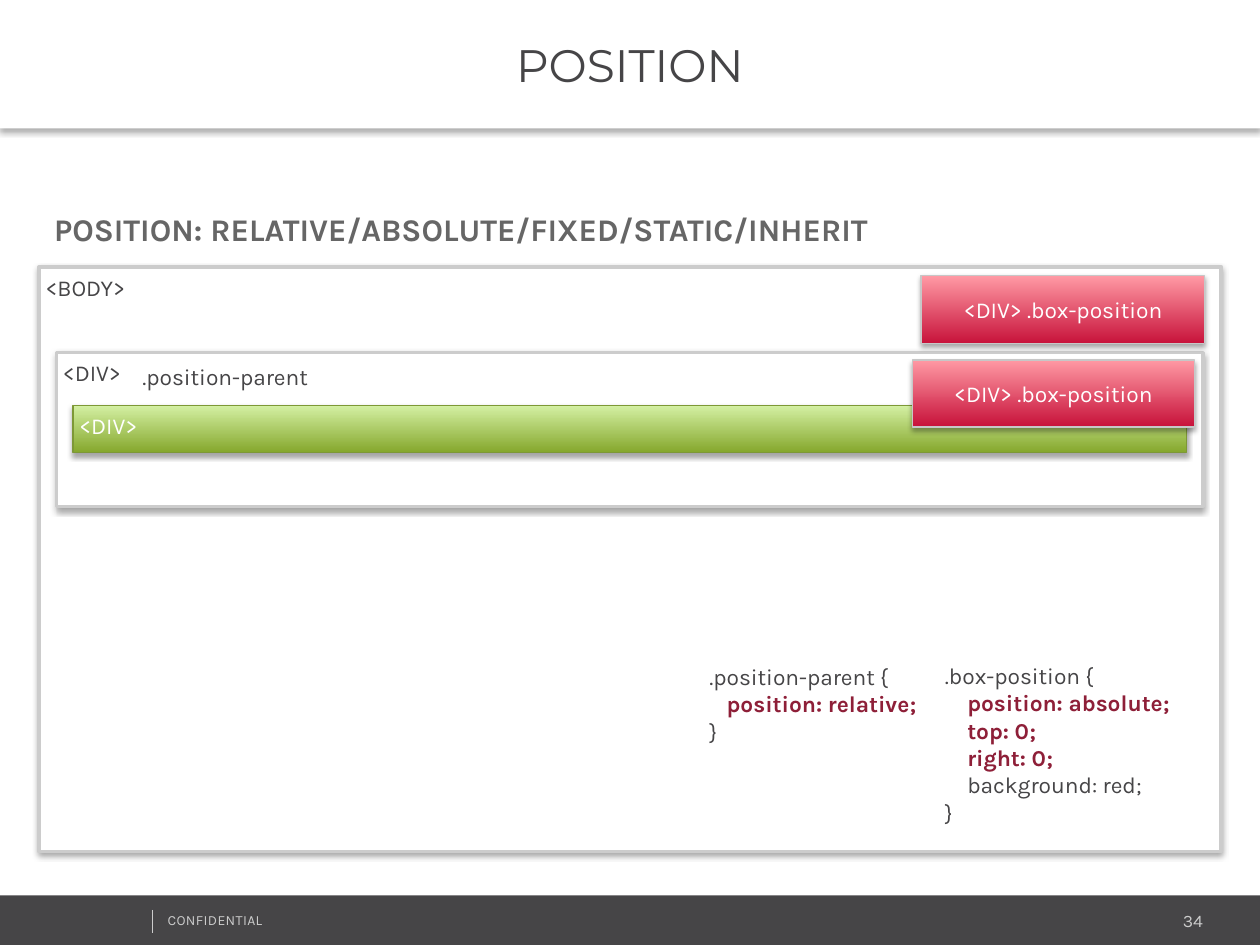
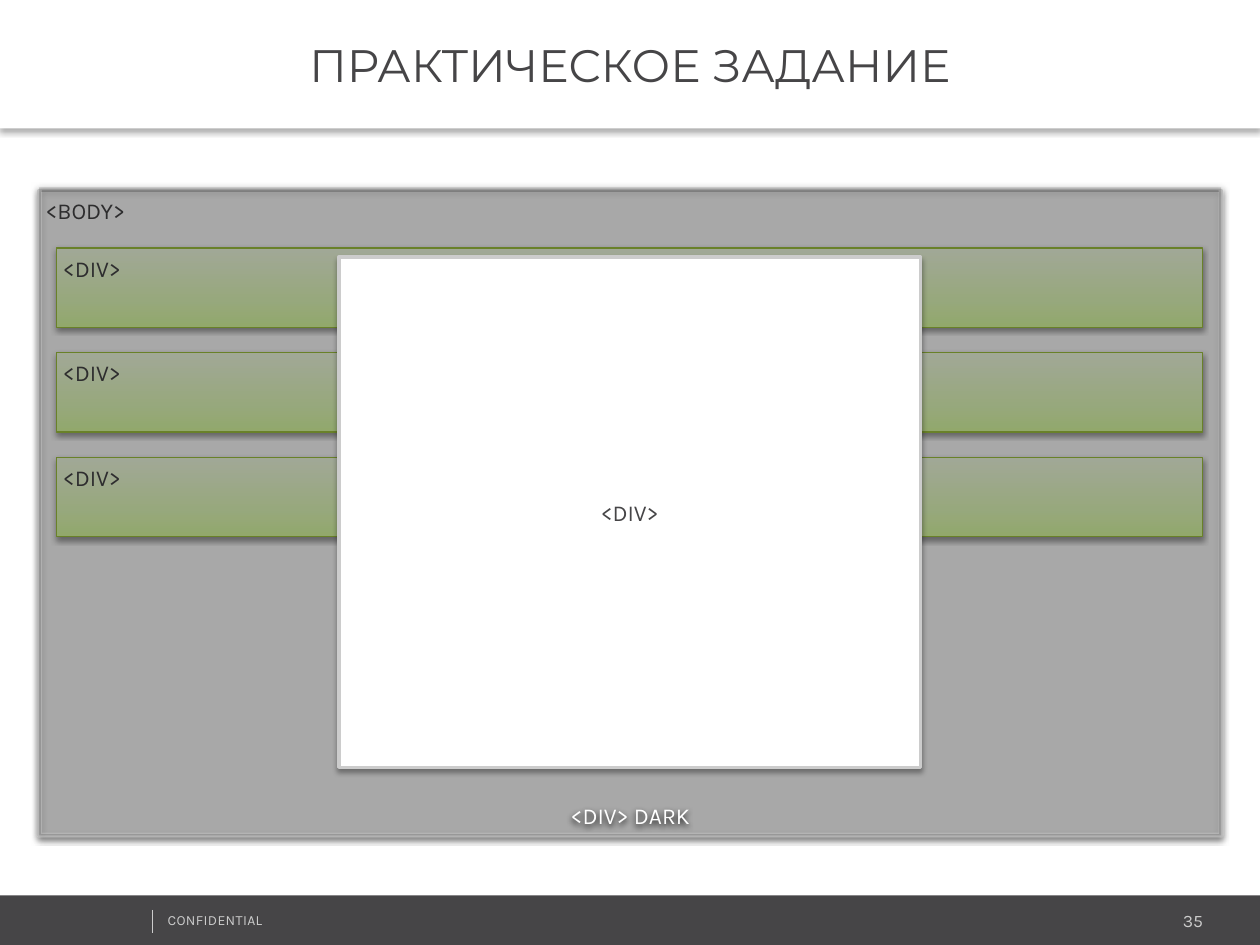
from dataclasses import dataclass
from typing import NamedTuple

from lxml.etree import SubElement
from pptx import Presentation
from pptx.dml.color import RGBColor
from pptx.enum.shapes import MSO_CONNECTOR, MSO_SHAPE
from pptx.enum.text import MSO_ANCHOR, MSO_AUTO_SIZE, PP_ALIGN
from pptx.oxml.ns import qn
from pptx.util import Cm, Pt

WHITE = RGBColor(0xFF, 0xFF, 0xFF)
BLACK = RGBColor(0, 0, 0)
DARK = RGBColor(0x46, 0x45, 0x47)
GRAY = RGBColor(0x66, 0x66, 0x66)
SILVER = RGBColor(0xCC, 0xCC, 0xCC)
BOX_EDGE = RGBColor(0xC7, 0xC7, 0xC7)
CRIMSON = RGBColor(0x8E, 0x1F, 0x38)
RED = RGBColor(0xC7, 0x12, 0x3A)
PINK = RGBColor(0xFF, 0x99, 0xA4)
GREEN = RGBColor(0x85, 0xA7, 0x2C)
LIGHT_GREEN = RGBColor(0xD3, 0xEF, 0xA2)
GREEN_EDGE = RGBColor(0x7D, 0x98, 0x36)
LIME = RGBColor(0xDE, 0xFF, 0xA4)
MID_LIME = RGBColor(0xE7, 0xFF, 0xBF)
PALE_LIME = RGBColor(0xF6, 0xFF, 0xE6)
LIME_EDGE = RGBColor(0xA1, 0xC5, 0x3F)

BODY_FONT, TITLE_FONT = "Karla", "Montserrat"
SLIDE_W, SLIDE_H = 25.4, 19.05
INSET = 0.13
TITLE_LAYOUT, TITLE_BODY_LAYOUT = 5, 1


class Area(NamedTuple):
    """Left, top, width and height in centimetres."""
    x: float
    y: float
    w: float
    h: float

    def lengths(self) -> tuple:
        return tuple(Cm(v) for v in self)


class Shadow(NamedTuple):
    opacity: int
    distance: float


@dataclass(frozen=True)
class BoxStyle:
    """Colours run from bottom to top as (percent, colour) stops."""
    stops: tuple
    edge: RGBColor
    edge_width: float = 0.75
    text: RGBColor = DARK
    shadow: Shadow = Shadow(35, 1.8)
    align: PP_ALIGN = PP_ALIGN.LEFT
    anchor: MSO_ANCHOR = MSO_ANCHOR.TOP
    opacity: int = 100


@dataclass(frozen=True)
class Box:
    area: Area
    text: str
    style: BoxStyle


@dataclass(frozen=True)
class CssRule:
    area: Area
    selector: str
    key_lines: tuple
    plain_lines: tuple
    indent: float


PANEL = BoxStyle(((0, WHITE),), SILVER, 2)
DIALOG = BoxStyle(((0, WHITE),), SILVER, 2, align=PP_ALIGN.CENTER, anchor=MSO_ANCHOR.MIDDLE)
RED_BOX = BoxStyle(((0, RED), (100, PINK)), BOX_EDGE, text=WHITE,
                   align=PP_ALIGN.CENTER, anchor=MSO_ANCHOR.MIDDLE)
GREEN_BAR = BoxStyle(((0, GREEN), (100, LIGHT_GREEN)), GREEN_EDGE, text=WHITE)
LIME_BAR = BoxStyle(((0, LIME), (35, MID_LIME), (100, PALE_LIME)), LIME_EDGE,
                    shadow=Shadow(38, 1.6))
OVERLAY = BoxStyle(((0, BLACK),), WHITE, 3, WHITE, Shadow(100, 1.6),
                   PP_ALIGN.CENTER, MSO_ANCHOR.BOTTOM, opacity=19)


def set_shadow(sp, shadow: Shadow) -> None:
    sp.shadow.inherit = False
    effects = sp._element.spPr.find(qn("a:effectLst"))
    outer = SubElement(effects, qn("a:outerShdw"), blurRad=str(Pt(3)),
                       dist=str(Pt(shadow.distance)), dir="5400000", rotWithShape="0")
    color = SubElement(outer, qn("a:srgbClr"), val=str(BLACK))
    SubElement(color, qn("a:alpha"), val=str(shadow.opacity * 1000))


def fill_gradient(sp, stops: tuple) -> None:
    sp.fill.gradient()
    sp.fill.gradient_angle = 90
    stop_list = sp._element.spPr.find(qn("a:gradFill")).find(qn("a:gsLst"))
    stop_list.clear()
    for percent, color in stops:
        stop = SubElement(stop_list, qn("a:gs"), pos=str(percent * 1000))
        SubElement(stop, qn("a:srgbClr"), val=str(color))


def set_frame(tf, anchor: MSO_ANCHOR = MSO_ANCHOR.TOP, wrap: bool = True) -> None:
    tf.word_wrap = wrap
    tf.auto_size = MSO_AUTO_SIZE.NONE
    tf.vertical_anchor = anchor
    tf.margin_left = tf.margin_right = tf.margin_top = tf.margin_bottom = Cm(INSET)


def write(p, text: str, *, size: float = 13, color: RGBColor = DARK, bold: bool = False,
          font: str = BODY_FONT, align: PP_ALIGN = PP_ALIGN.LEFT, before: float = 0,
          indent: float = 0, spacing: float = 0) -> None:
    """Put formatted text into a paragraph."""
    p.alignment = align
    p.space_before = Pt(before)
    pPr = p._p.get_or_add_pPr()
    pPr.set("marL", str(Cm(indent)))
    pPr.set("indent", "0")
    r = p.add_run()
    r.text = text
    r.font.name, r.font.size, r.font.bold = font, Pt(size), bold
    r.font.color.rgb = color
    if spacing:
        r._r.get_or_add_rPr().set("spc", str(int(spacing * 100)))


def add_label(s, area: Area, text: str, wrap: bool = True, **fmt) -> None:
    tf = s.shapes.add_textbox(*area.lengths()).text_frame
    set_frame(tf, wrap=wrap)
    write(tf.paragraphs[0], text, **fmt)


def add_box(s, box: Box) -> None:
    style = box.style
    sp = s.shapes.add_shape(MSO_SHAPE.RECTANGLE, *box.area.lengths())
    if len(style.stops) > 1:
        fill_gradient(sp, style.stops)
    else:
        sp.fill.solid()
        sp.fill.fore_color.rgb = style.stops[0][1]
    sp.line.color.rgb = style.edge
    sp.line.width = Pt(style.edge_width)
    if style.opacity < 100:
        for color in sp._element.spPr.iter(qn("a:srgbClr")):
            SubElement(color, qn("a:alpha"), val=str(style.opacity * 1000))
    set_shadow(sp, style.shadow)
    set_frame(sp.text_frame, style.anchor)
    write(sp.text_frame.paragraphs[0], box.text, color=style.text, align=style.align)


def add_css_rule(s, rule: CssRule) -> None:
    tf = s.shapes.add_textbox(*rule.area.lengths()).text_frame
    set_frame(tf, wrap=False)
    write(tf.paragraphs[0], rule.selector + " {")
    for line in rule.key_lines:
        write(tf.add_paragraph(), line, color=CRIMSON, bold=True, indent=rule.indent)
    for line in rule.plain_lines:
        write(tf.add_paragraph(), line, indent=rule.indent)
    write(tf.add_paragraph(), "}")


def add_footer(s, number: int) -> None:
    band = s.shapes.add_shape(MSO_SHAPE.RECTANGLE, *Area(0, 18.05, SLIDE_W, 1).lengths())
    band.shadow.inherit = False
    band.fill.solid()
    band.fill.fore_color.rgb = DARK
    band.line.fill.background()
    add_label(s, Area(3.25, 18.24, 6.43, 0.61), "CONFIDENTIAL", size=8, color=SILVER, spacing=0.2)
    rule = s.shapes.add_connector(MSO_CONNECTOR.STRAIGHT, Cm(3.07), Cm(18.34), Cm(3.07), Cm(18.8))
    rule.line.color.rgb = SILVER
    rule.line.width = Pt(0.25)
    SubElement(rule._element.spPr, qn("a:effectLst"))
    add_label(s, Area(23.72, 18.21, 0.66, 0.64), str(number), wrap=False,
              size=10, color=SILVER, align=PP_ALIGN.RIGHT)


def place(sp, area: Area) -> None:
    sp.left, sp.top, sp.width, sp.height = area.lengths()


def new_slide(prs, layout: int, title: str, number: int):
    """Add a slide with the shared title band and footer."""
    s = prs.slides.add_slide(prs.slide_layouts[layout])
    sp = s.shapes.title
    place(sp, Area(0, 0, SLIDE_W, 2.59))
    sp.fill.solid()
    sp.fill.fore_color.rgb = WHITE
    set_shadow(sp, Shadow(30, 2))
    set_frame(sp.text_frame, MSO_ANCHOR.MIDDLE)
    write(sp.text_frame.paragraphs[0], title, size=26, font=TITLE_FONT,
          align=PP_ALIGN.CENTER, before=6)
    add_footer(s, number)
    return s


def add_heading(s, text: str) -> None:
    sp = s.placeholders[1]
    place(sp, Area(0.99, 3.99, 22.68, 1.02))
    set_frame(sp.text_frame)
    sp.text_frame.margin_left = sp.text_frame.margin_top = Cm(0.1)
    p = sp.text_frame.paragraphs[0]
    p.line_spacing = 1.2
    write(p, text, size=18, color=GRAY, bold=True, before=7)
    SubElement(p._p.get_or_add_pPr(), qn("a:buNone"))


def build_position(prs) -> None:
    s = new_slide(prs, TITLE_BODY_LAYOUT, "POSITION", 34)
    add_heading(s, "POSITION: RELATIVE/ABSOLUTE/FIXED/STATIC/INHERIT")
    for box in (
        Box(Area(0.79, 5.38, 23.83, 11.79), "<BODY>", PANEL),
        Box(Area(1.14, 7.11, 23.11, 3.1), "<DIV>", PANEL),
        Box(Area(1.47, 8.18, 22.45, 0.95), "<DIV>", GREEN_BAR),
        Box(Area(18.57, 5.56, 5.72, 1.37), "<DIV> .box-position", RED_BOX),
        Box(Area(18.39, 7.26, 5.69, 1.35), "<DIV> .box-position", RED_BOX),
    ):
        add_box(s, box)
    add_label(s, Area(2.74, 7.19, 3.61, 0.79), ".position-parent", wrap=False)
    for rule in (
        CssRule(Area(14.17, 13.23, 4.55, 1.83), ".position-parent",
                ("position: relative;",), (), 0.35),
        CssRule(Area(18.92, 13.21, 4.85, 3.43), ".box-position",
                ("position: absolute;", "top: 0;", "right: 0;"), ("background: red;",), 0.45),
    ):
        add_css_rule(s, rule)


def build_exercise(prs) -> None:
    s = new_slide(prs, TITLE_LAYOUT, "ПРАКТИЧЕСКОЕ ЗАДАНИЕ", 35)
    bars = [Box(Area(1.14, 5 + 2.11 * i, 23.11, 1.6), "<DIV>", LIME_BAR) for i in range(3)]
    for box in (
        Box(Area(0.79, 3.84, 23.83, 13), "<BODY>", PANEL),
        *bars,
        Box(Area(0.79, 3.78, 23.83, 13.06), "<DIV> DARK", OVERLAY),
        Box(Area(6.83, 5.18, 11.73, 10.29), "<DIV>", DIALOG),
    ):
        add_box(s, box)


def main() -> None:
    prs = Presentation()
    prs.slide_width, prs.slide_height = Cm(SLIDE_W), Cm(SLIDE_H)
    build_position(prs)
    build_exercise(prs)
    prs.save("out.pptx")


if __name__ == "__main__":
    main()
